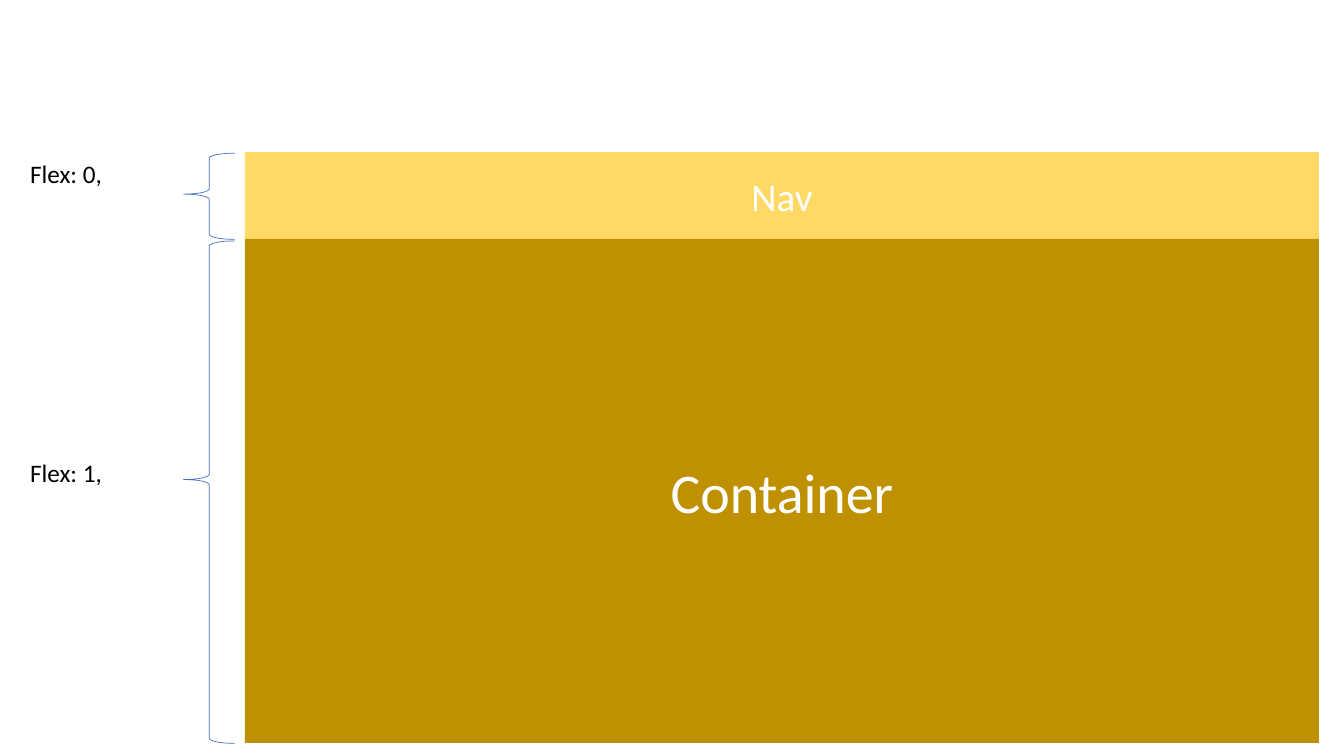
from pptx import Presentation
from pptx.dml.color import RGBColor
from pptx.enum import shapes, text
from pptx.util import Inches, Pt

WHITE = RGBColor(0xFF, 0xFF, 0xFF)
BLACK = RGBColor(0, 0, 0)
LIGHT_GOLD = RGBColor(0xFF, 0xD9, 0x66)
DARK_GOLD = RGBColor(0xBF, 0x90, 0x00)
BLUE = RGBColor(0x44, 0x72, 0xC4)
FONT = "Calibri"


def add_span(para, wording, size, color):
    span = para.add_run()
    span.text = wording
    span.font.name = FONT
    span.font.size = Pt(size)
    span.font.color.rgb = color


def add_block(page, box, name, size, fill):
    """Filled layout block with its name in the centre."""
    block = page.shapes.add_shape(shapes.MSO_SHAPE.RECTANGLE, *map(Inches, box))
    block.shadow.inherit = False
    block.fill.solid()
    block.fill.fore_color.rgb = fill
    block.line.fill.background()
    block.text_frame.vertical_anchor = text.MSO_ANCHOR.MIDDLE
    para = block.text_frame.paragraphs[0]
    para.alignment = text.PP_ALIGN.CENTER
    add_span(para, name, size, WHITE)


def add_brace(page, box):
    brace = page.shapes.add_shape(shapes.MSO_SHAPE.LEFT_BRACE, *map(Inches, box))
    brace.shadow.inherit = False
    brace.fill.background()
    brace.line.color.rgb = BLUE
    brace.line.width = Pt(0.5)
    brace.adjustments[0] = 0.1
    brace.adjustments[1] = 0.475


def add_label(page, box, wording):
    label = page.shapes.add_textbox(*map(Inches, box))
    label.text_frame.word_wrap = True
    label.text_frame.auto_size = text.MSO_AUTO_SIZE.SHAPE_TO_FIT_TEXT
    add_span(label.text_frame.paragraphs[0], wording, 18, BLACK)


def add_region(page, box, name, size, fill, flex, brace_drop, label_drop):
    """One flex region: label, brace and block, from left to right."""
    left, top, width, height = box
    block_left = left + 2.23
    add_block(page, (block_left, top, width - 2.23, height), name, size, fill)
    add_brace(page, (left + 1.62, top + brace_drop, 0.51, height - brace_drop + 0.005))
    add_label(page, (left, top + label_drop, 1.51, 0.4), flex)


deck = Presentation()
deck.slide_width, deck.slide_height = Inches(13.33), Inches(7.5)
page = deck.slides.add_slide(deck.slide_layouts[6])

# Navigation bar above the container
add_region(page, (0.2, 1.51, 12.88, 0.86), "Nav", 28, LIGHT_GOLD, "Flex: 0,", 0.01, 0.01)
add_region(page, (0.2, 2.37, 12.88, 5), "Container", 40, DARK_GOLD, "Flex: 1,", 0.02, 2.12)

deck.save("out.pptx")
